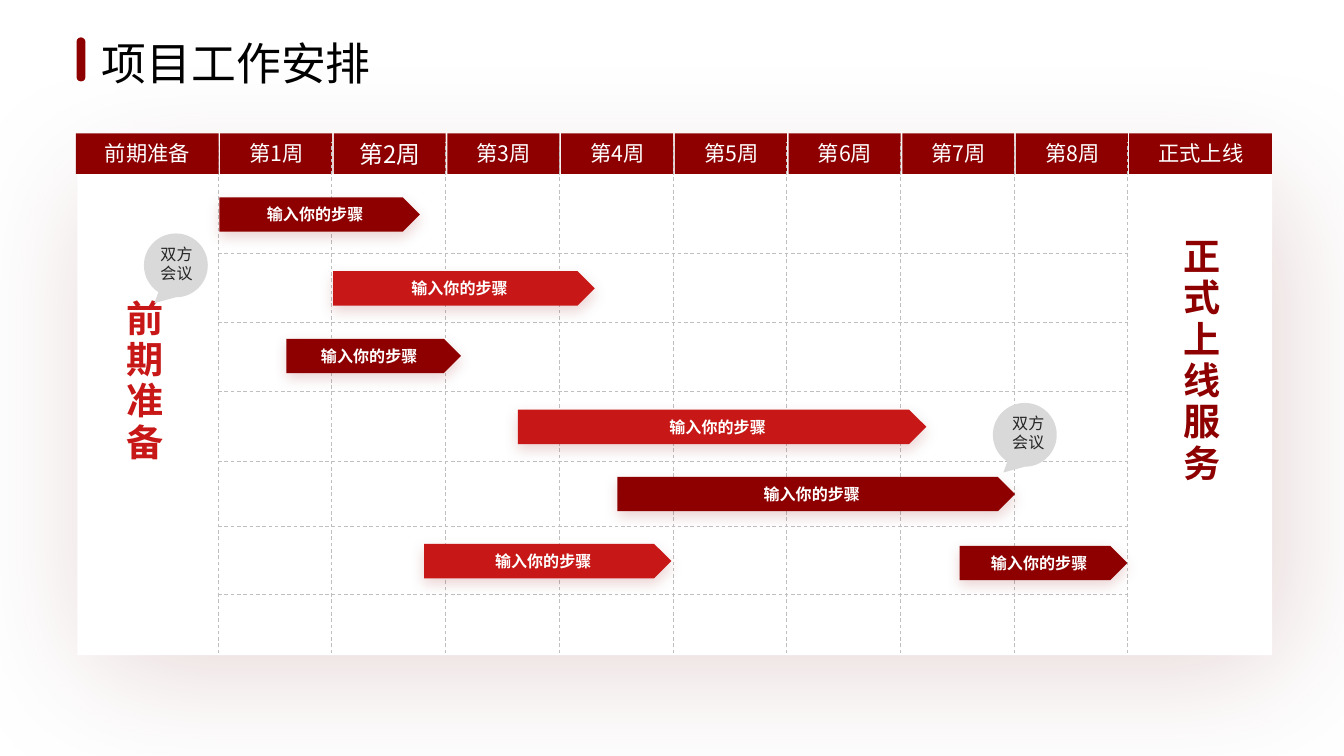
from math import cos, radians, sin, tan

from lxml import etree
from pptx import Presentation
from pptx.dml.color import RGBColor
from pptx.enum import dml, shapes, text
from pptx.oxml import ns
from pptx.util import Pt

TITLE = "项目工作安排"
STEP = "输入你的步骤"
MEETING = ["双方", "会议"]
WEEKS = [f"第{n}周" for n in range(1, 9)]
BIG_WEEK = 1
SIDE_HEADERS = [("正式上线", 604.9), ("前期准备", 40.6)]
SIDE_NOTES = [
    ("前期准备", "red", (59.4, 157.7, 34.6, 103.7)),
    ("正式上线服务", "dark", (625.7, 124.6, 34.6, 169.9)),
]
BARS = [
    (117.5, 105.7, 107.5, "dark"),
    (178.5, 145.3, 140.2, "red"),
    (153.4, 181.5, 93.6, "dark"),
    (277.4, 219.5, 218.9, "red"),
    (227.2, 291.4, 132.5, "red"),
    (330.8, 255.5, 213, "dark"),
    (514.1, 292.4, 89.9, "dark"),
]
MEETINGS = [((94.2, 142.2), (79.5, 128.2)), ((549, 233), (535.8, 218.7))]
ROW_LINES = [135.6, 172.6, 209.6, 247.1, 282, 318.4]

THEME = {
    "dark": "8E0000", "red": "C71717", "white": "FFFFFF", "black": "000000",
    "grid": "BFBFBF", "bubble": "D9D9D9", "ink": "262626", "panel_shadow": "6A0000",
    "title_font": "Cabin", "font": "Noto Sans CJK SC",
    "title": 24, "header": 11.4, "big_header": 12.8, "note": 19.9, "small": 8.6,
}
GRID_LEFT, GRID_TOP, GRID_BOTTOM, PITCH = 116.9, 76.3, 350, 60.91
HEADER_TOP, HEADER_H = 71.5, 21.7
LABEL_TOP, LABEL_H = 72.4, 18.7
BAR_H = 18.4
RADIUS, TAIL = 17.1, (-11.5, 20.2)
ARC_STOPS = (123, 180, 270, 360, 450)
TIGHT = (5, 2.9, 5, 2.9)

prs = Presentation()
prs.slide_width, prs.slide_height = Pt(720), Pt(405)
s = prs.slides.add_slide(prs.slide_layouts[6])


def color(name):
    return RGBColor.from_string(THEME[name])


def paint(sp, fill):
    sp.shadow.inherit = False
    sp.fill.solid()
    sp.fill.fore_color.rgb = color(fill)
    sp.line.fill.background()
    return sp


def add_box(kind, box, fill):
    return paint(s.shapes.add_shape(kind, *map(Pt, box)), fill)


def add_rect(box, fill):
    return add_box(shapes.MSO_SHAPE.RECTANGLE, box, fill)


def add_textbox(box):
    return s.shapes.add_textbox(*map(Pt, box))


def add_shadow(sp, name, blur, dist, angle):
    effects = sp._element.spPr.find(ns.qn("a:effectLst"))
    shadow = etree.SubElement(
        effects, ns.qn("a:outerShdw"), blurRad=str(Pt(blur)), dist=str(Pt(dist)),
        dir=str(angle * 60000), algn="ctr", rotWithShape="0")
    tint = etree.SubElement(shadow, ns.qn("a:srgbClr"), val=THEME[name])
    etree.SubElement(tint, ns.qn("a:alpha"), val="16000")


def write(sp, lines, size, fill, font="font", bold=False, insets=TIGHT, wrap=True,
          align="CENTER", middle=False, grow=True, vertical=False):
    tf = sp.text_frame
    tf.word_wrap = wrap
    tf.margin_left, tf.margin_top, tf.margin_right, tf.margin_bottom = map(Pt, insets)
    tf.vertical_anchor = text.MSO_ANCHOR.MIDDLE if middle else text.MSO_ANCHOR.TOP
    tf.auto_size = text.MSO_AUTO_SIZE.SHAPE_TO_FIT_TEXT if grow else text.MSO_AUTO_SIZE.NONE
    if vertical:
        tf._txBody.bodyPr.set("vert", "eaVert")
    for i, line in enumerate(lines):
        p = tf.add_paragraph() if i else tf.paragraphs[0]
        p.alignment = text.PP_ALIGN[align]
        r = p.add_run()
        r.text = line
        r.font.size, r.font.bold = Pt(THEME[size]), bold
        r.font.color.rgb = color(fill)
        r.font.name = THEME[font]
        rpr = r._r.get_or_add_rPr()
        etree.SubElement(rpr, ns.qn("a:ea"), typeface=THEME["font"])
        if vertical:
            rpr.set("spc", "220")


def add_grid_line(x1, y1, x2, y2):
    line = s.shapes.add_connector(shapes.MSO_CONNECTOR.STRAIGHT, *map(Pt, (x1, y1, x2, y2)))
    line.line.color.rgb = color("grid")
    line.line.width = Pt(0.47)
    line.line.dash_style = dml.MSO_LINE.DASH
    etree.SubElement(line._element.spPr, ns.qn("a:effectLst"))


def add_week_line(index):
    x = GRID_LEFT + index * PITCH
    add_grid_line(x, GRID_BOTTOM, x, GRID_TOP)


def round_outline(sp, center):
    segments = sp._element.findall(".//" + ns.qn("a:lnTo"))
    for segment, start, end in zip(segments, ARC_STOPS, ARC_STOPS[1:]):
        pull = 4 / 3 * tan(radians(end - start) / 4)
        segment.tag = ns.qn("a:cubicBezTo")
        for i, (angle, k) in enumerate([(start, pull), (end, -pull)]):
            a = radians(angle)
            x = Pt(center[0] + RADIUS * (cos(a) - k * sin(a))) - sp.left
            y = Pt(center[1] + RADIUS * (sin(a) + k * cos(a))) - sp.top
            segment.insert(i, etree.Element(ns.qn("a:pt"), x=str(x), y=str(y)))


def add_bubble(center, label):
    cx, cy = center
    points = [(Pt(cx + RADIUS * cos(radians(a))), Pt(cy + RADIUS * sin(radians(a))))
              for a in ARC_STOPS]
    points.append((Pt(cx + TAIL[0]), Pt(cy + TAIL[1])))
    outline = s.shapes.build_freeform(*points[0])
    outline.add_line_segments(points[1:], close=True)
    bubble = paint(outline.convert_to_shape(), "bubble")
    round_outline(bubble, center)
    write(add_textbox((*label, 30.2, 25.9)), MEETING, "small", "ink")


write(add_textbox((47.5, 15.8, 159.8, 36)), [TITLE], "title", "black", font="title_font",
      insets=(7.2, 3.6, 7.2, 3.6), wrap=False, align="LEFT")
marker = add_box(shapes.MSO_SHAPE.ROUNDED_RECTANGLE, (41, 20, 4.8, 23.6), "dark")
marker.adjustments[0] = 0.5
panel = add_rect((41.4, 92.6, 640.1, 258.4), "white")
add_shadow(panel, "panel_shadow", 72.2, 9.5, 45)

add_week_line(0)
for y in ROW_LINES:
    add_grid_line(GRID_LEFT, y, GRID_LEFT + len(WEEKS) * PITCH, y)

for name, x in SIDE_HEADERS:
    add_rect((x, HEADER_TOP, 76.5, HEADER_H), "dark")
    write(add_textbox((x + 4.2, LABEL_TOP, 68.4, LABEL_H)), [name], "header", "white")

week_lefts = [GRID_LEFT + 1 + i * PITCH for i in range(len(WEEKS))]
for x in week_lefts:
    add_rect((x, HEADER_TOP, 60, HEADER_H), "dark")
for i, (name, x) in enumerate(zip(WEEKS, week_lefts)):
    big = i == BIG_WEEK
    label = add_rect((x + 0.7, LABEL_TOP, 59, 20.2 if big else LABEL_H), "dark")
    write(label, [name], "big_header" if big else "header", "white", middle=big, grow=not big)
for i in range(1, len(WEEKS) + 1):
    add_week_line(i)

for x, y, width, fill in BARS:
    bar = add_box(shapes.MSO_SHAPE.PENTAGON, (x, y, width, BAR_H), fill)
    add_shadow(bar, "dark", 7.6, 2.9, 90)
    write(bar, [STEP], "small", "white", bold=True, insets=(0, 0, 0, 0), middle=True, grow=False)

for name, fill, box in SIDE_NOTES:
    write(add_textbox(box), [name], "note", fill, bold=True, vertical=True)
for center, label in MEETINGS:
    add_bubble(center, label)

prs.save("out.pptx")
